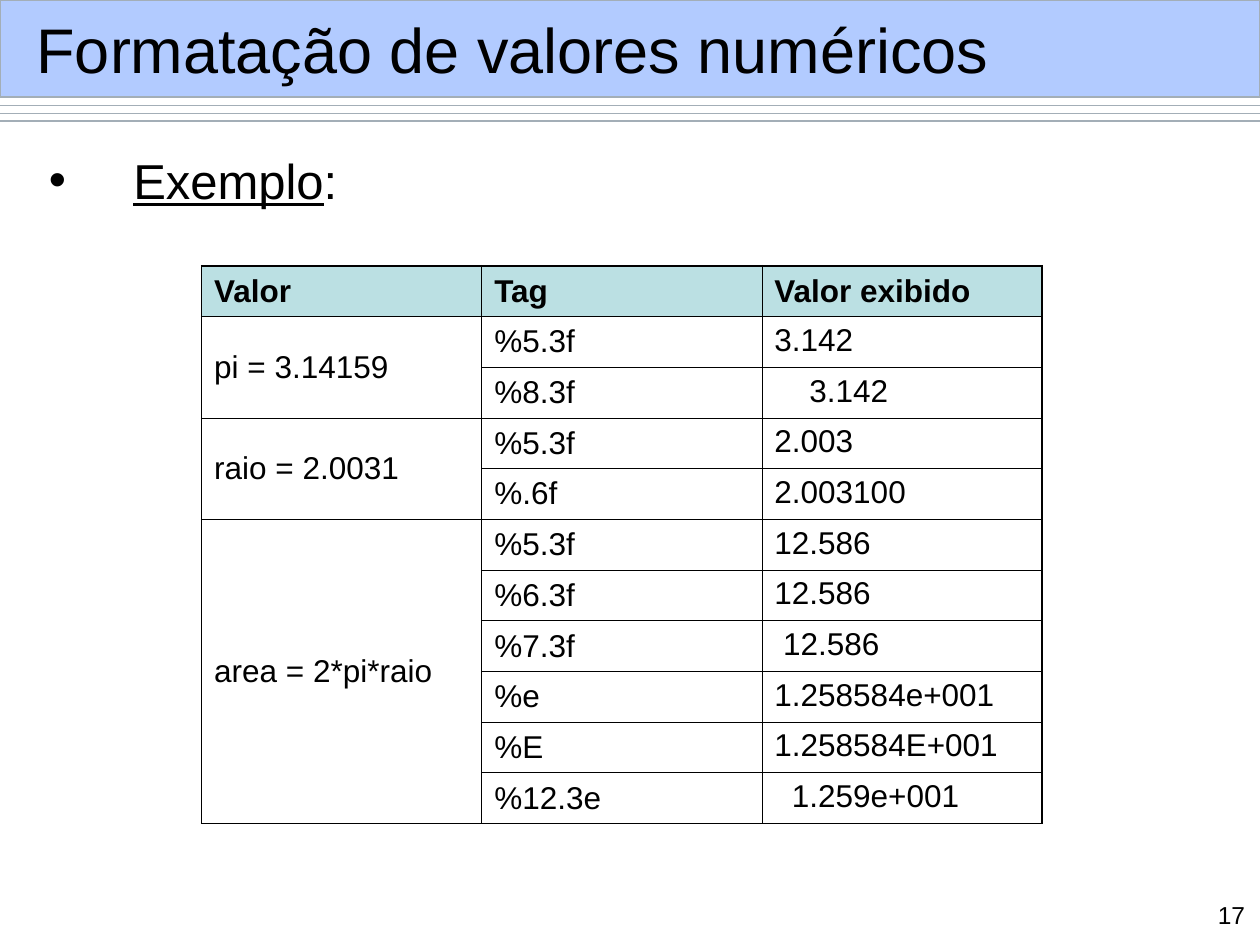
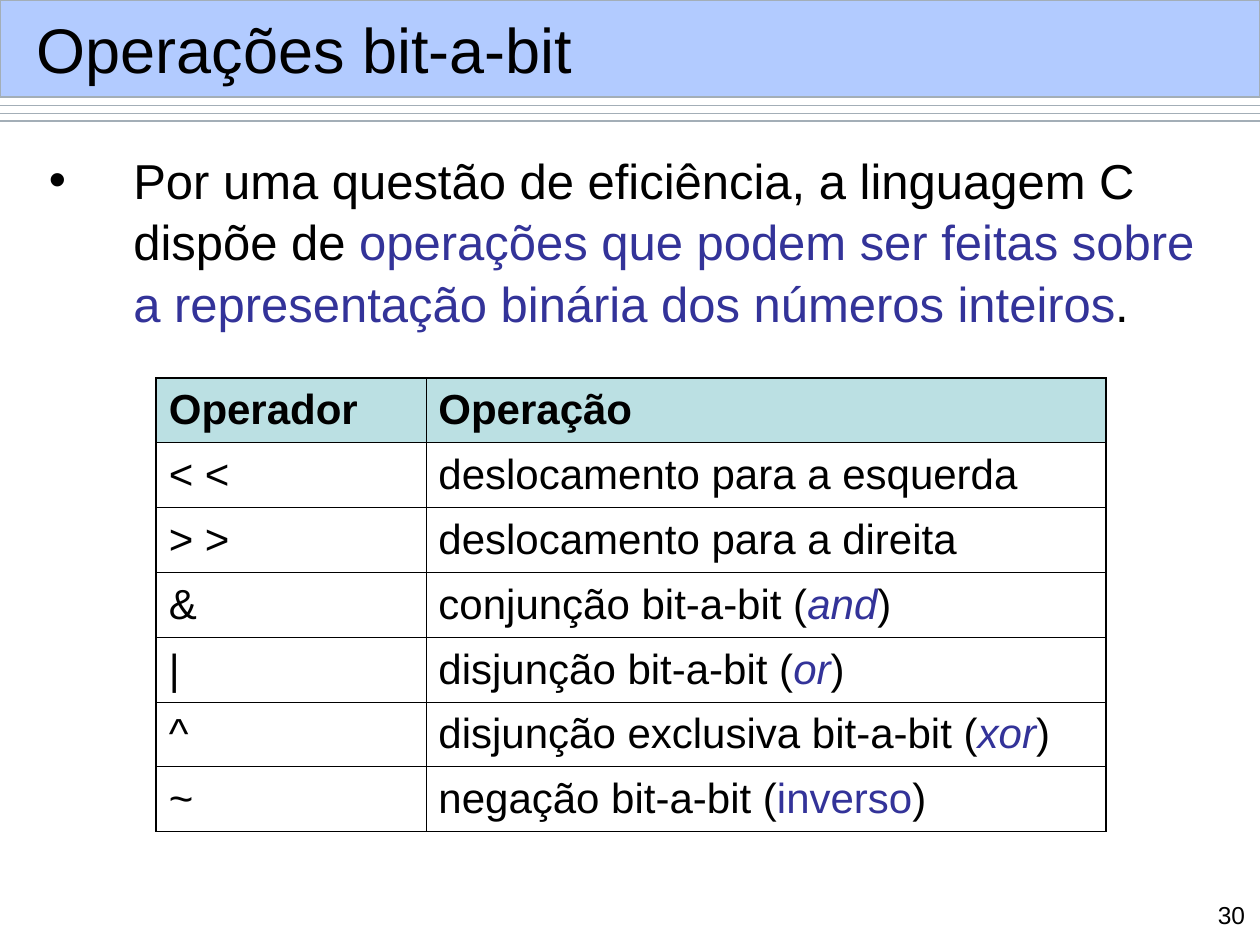
from lxml.etree import SubElement
from pptx import Presentation
from pptx.dml.color import RGBColor
from pptx.enum.shapes import MSO_CONNECTOR, MSO_SHAPE
from pptx.enum.text import MSO_ANCHOR, MSO_AUTO_SIZE, PP_ALIGN
from pptx.oxml.ns import qn
from pptx.util import Inches, Pt

COLORS = {"text": "000000", "accent": "333399", "band": "6699FF",
          "rule": "A3AEB7", "head": "BBE0E3"}
FONT = "Arial"
THICK, THIN = 1.08, 0.45

# The slide is a grid of 100 columns by 75 rows; boxes are (left, top, width, height)
COLS, ROWS = 100, 75
HEADER = (0, 0, COLS, 7.7)
RULES = (8.4, 9, 9.6)
TITLE = (1.9, 0.9, 96.4, 5.9)
BODY = (2.9, 11.2, 94.6, 61.6)
NUMBER = (90.7, 70.9, 9.1, 2.6)


def unit(n):
    return Inches(n / 10)


def grid(box):
    return [unit(n) for n in box]


def rgb(name):
    return RGBColor.from_string(COLORS[name])


def add_runs(p, runs, **base):
    """Write runs, each a string or a (string, formats) pair."""
    for run in runs if isinstance(runs, list) else [runs]:
        text, extra = run if isinstance(run, tuple) else (run, {})
        formats = {"name": FONT, "color": "text", **base, **extra}
        r = p.add_run()
        r.text = text
        r.font.color.rgb = rgb(formats.pop("color"))
        for key, value in formats.items():
            setattr(r.font, key, value)


def add_text(s, box, runs, size, align=PP_ALIGN.LEFT):
    tf = s.shapes.add_textbox(*grid(box)).text_frame
    tf.word_wrap = True
    p = tf.paragraphs[0]
    p.alignment = align
    add_runs(p, runs, size=Pt(size))
    return p


def style_line(line):
    line.color.rgb = rgb("rule")
    line.width = Pt(0.75)


def add_header(s, box):
    # Half-transparent band
    band = s.shapes.add_shape(MSO_SHAPE.RECTANGLE, *grid(box))
    band.shadow.inherit = False
    band.fill.solid()
    band.fill.fore_color.rgb = rgb("band")
    color = band.element.spPr.find(qn("a:solidFill"))[0]
    SubElement(color, qn("a:alpha"), val="50000")
    style_line(band.line)
    # Rules below it
    left, _, width, _ = box
    for y in RULES:
        rule = s.shapes.add_connector(MSO_CONNECTOR.STRAIGHT,
                                      *grid((left, y, left + width, y)))
        style_line(rule.line)
        SubElement(rule.element.spPr, qn("a:effectLst"))


def add_title(s, box, text):
    title = s.shapes.title
    s.shapes.element.append(title.element)  # in front of the band
    for key, value in zip(("left", "top", "width", "height"), grid(box)):
        setattr(title, key, value)
    tf = title.text_frame
    for key, value in {"word_wrap": True, "auto_size": MSO_AUTO_SIZE.NONE,
                       "vertical_anchor": MSO_ANCHOR.MIDDLE}.items():
        setattr(tf, key, value)
    p = tf.paragraphs[0]
    p.alignment = PP_ALIGN.LEFT
    add_runs(p, text, size=Pt(36))


def add_bullet(s, box, runs):
    p = add_text(s, box, runs, 28)
    p.line_spacing = 1.05
    pPr = p._p.get_or_add_pPr()
    pPr.set("marL", str(Inches(0.67)))
    pPr.set("indent", str(-Inches(0.67)))
    color = SubElement(pPr, qn("a:buClr"))
    SubElement(color, qn("a:srgbClr"), val=COLORS["text"])
    SubElement(pPr, qn("a:buFont"), typeface=FONT)
    SubElement(pPr, qn("a:buChar"), char="•")


def set_borders(cell, widths):
    tcPr = cell._tc.get_or_add_tcPr()
    for side, width in zip("LRTB", widths):
        ln = SubElement(tcPr, qn(f"a:ln{side}"), w=str(Pt(width)))
        fill = SubElement(ln, qn("a:solidFill"))
        SubElement(fill, qn("a:srgbClr"), val=COLORS["text"])


def add_table(s, box, shares, rows, size, spans=(), top_col=None, indents=None):
    """Shares are column widths; spans are (first row, count) in column 0."""
    last_row, last_col = len(rows) - 1, len(shares) - 1
    table = s.shapes.add_table(len(rows), len(shares), *grid(box)).table
    table.first_row = table.horz_banding = False
    for column, share in zip(table.columns, shares):
        column.width = unit(box[2] * share / sum(shares))
    for row in table.rows:
        row.height = unit(box[3] / len(rows))
    for first, count in spans:
        table.cell(first, 0).merge(table.cell(first + count - 1, 0))

    for i, row in enumerate(rows):
        for j, runs in enumerate(row):
            cell = table.cell(i, j)
            if cell.is_spanned:
                continue
            end = i + cell.span_height - 1 if cell.is_merge_origin else i
            outer = (j == 0, j == last_col, i == 0, end == last_row)
            set_borders(cell, [THICK if edge else THIN for edge in outer])
            if i == 0:
                cell.fill.solid()
                cell.fill.fore_color.rgb = rgb("head")
            else:
                cell.fill.background()
            at_top = i > 0 and j == top_col
            cell.vertical_anchor = MSO_ANCHOR.TOP if at_top else MSO_ANCHOR.MIDDLE
            indent = (indents or {}).get((i, j), 0)
            cell.margin_left = Inches(0.1) + Pt(indent)
            add_runs(cell.text_frame.paragraphs[0], runs, size=Pt(size), bold=i == 0)


def add_content_slide(prs, title, bullet, number, **table):
    s = prs.slides.add_slide(prs.slide_layouts[5])
    add_header(s, HEADER)
    add_bullet(s, BODY, bullet)
    add_table(s, **table)
    add_title(s, TITLE, title)
    add_text(s, NUMBER, str(number), 14, PP_ALIGN.RIGHT)


def add_formatting_slide(prs):
    # Each value with its tags, shown results and pad width in characters
    values = [
        ("pi = 3.14159", [("%5.3f", "3.142", 0), ("%8.3f", "3.142", 4)]),
        ("raio = 2.0031", [("%5.3f", "2.003", 0), ("%.6f", "2.003100", 0)]),
        ("area = 2*pi*raio", [("%5.3f", "12.586", 0), ("%6.3f", "12.586", 0),
                              ("%7.3f", "12.586", 1), ("%e", "1.258584e+001", 0),
                              ("%E", "1.258584E+001", 0),
                              ("%12.3e", "1.259e+001", 2)]),
    ]
    rows, spans, indents = [("Valor", "Tag", "Valor exibido")], [], {}
    for value, tags in values:
        spans.append((len(rows), len(tags)))
        for k, (tag, shown, pad) in enumerate(tags):
            indents[len(rows), 2] = 5 * pad
            rows.append(("" if k else value, tag, shown))
    add_content_slide(
        prs, "Formatação de valores numéricos",
        [("Exemplo", {"underline": True}), ":"], 17,
        box=(16, 21.1, 66.7, 44.3), shares=(1, 1, 1), rows=rows, size=18,
        spans=spans, top_col=2, indents=indents)


def add_bitwise_slide(prs):
    accent = {"color": "accent"}
    term = {**accent, "italic": True}
    rows = [
        ("Operador", "Operação"),
        ("< <", "deslocamento para a esquerda"),
        ("> >", "deslocamento para a direita"),
        ("&", ["conjunção bit-a-bit (", ("and", term), ")"]),
        ("|", ["disjunção bit-a-bit (", ("or", term), ")"]),
        ("^", ["disjunção exclusiva bit-a-bit (", ("xor", term), ")"]),
        ("~", ["negação bit-a-bit (", ("inverso", accent), ")"]),
    ]
    add_content_slide(
        prs, "Operações bit-a-bit",
        ["Por uma questão de eficiência, a linguagem C dispõe de ",
         ("operações que podem ser feitas sobre a representação binária "
          "dos números inteiros", accent), "."], 30,
        box=(12.4, 30, 75.4, 36), shares=(2.14, 5.4), rows=rows, size=24)


def main():
    prs = Presentation()
    prs.slide_width, prs.slide_height = unit(COLS), unit(ROWS)
    add_formatting_slide(prs)
    add_bitwise_slide(prs)
    prs.save("out.pptx")


if __name__ == "__main__":
    main()
